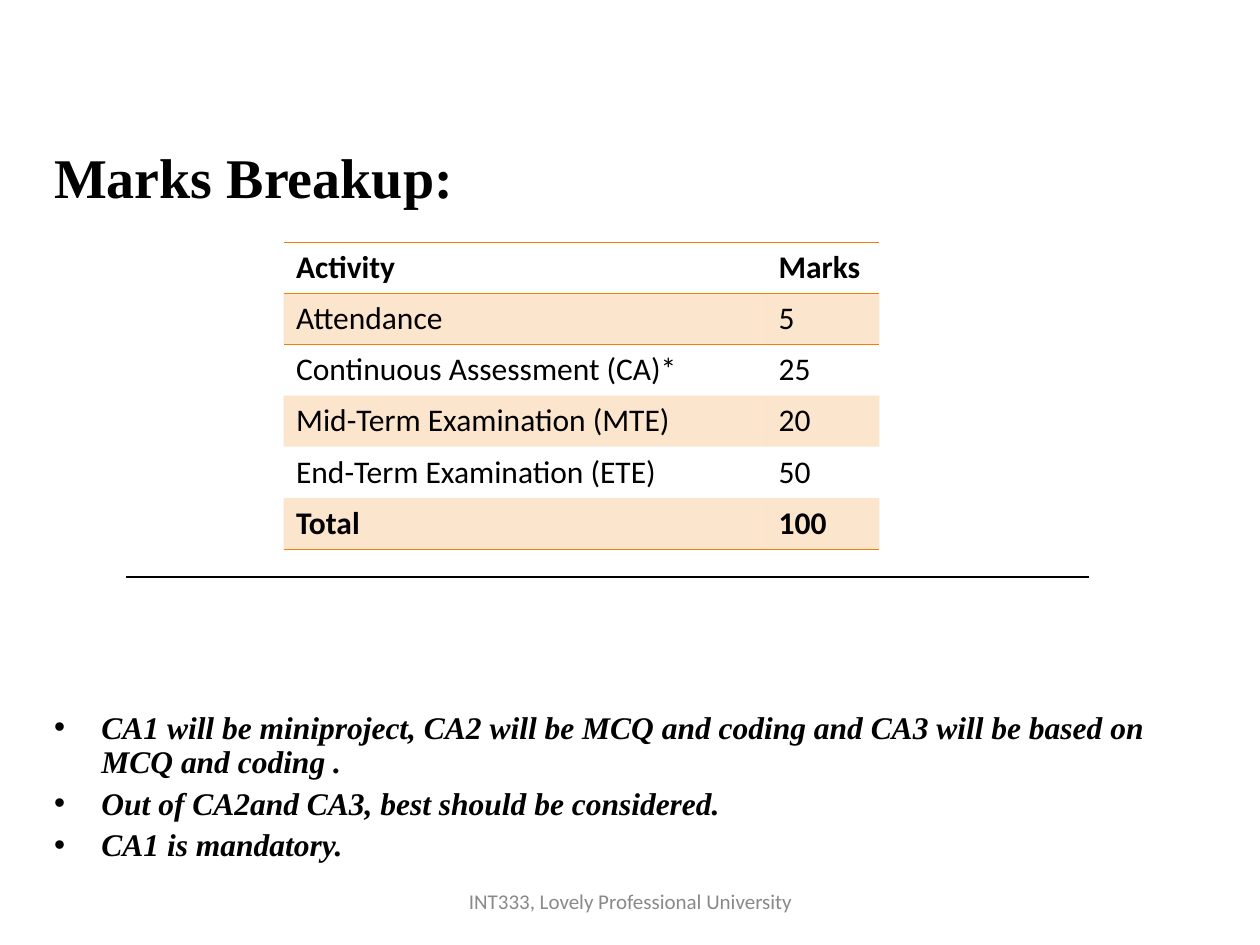
from lxml import etree
from pptx import Presentation
from pptx import util as u
from pptx.dml.color import RGBColor
from pptx.enum import shapes, text
from pptx.oxml.ns import qn

SERIF, SANS = "Times New Roman", "Calibri"
BLACK, ORANGE, GREY = "000000", "F07F09", "898989"
PLAIN_STYLE = "{2D5ABB26-0587-4C30-8999-92F81FD0307C}"
MARKS = [
    ("Activity", "Marks"),
    ("Attendance", "5"),
    ("Continuous Assessment (CA)*", "25"),
    ("Mid-Term Examination (MTE)", "20"),
    ("End-Term Examination (ETE)", "50"),
    ("Total", "100"),
]
NOTES = [
    "CA1 will be miniproject, CA2 will be MCQ and coding and CA3 will be based on MCQ and coding .",
    "Out of CA2and CA3, best should be considered.",
    "CA1 is mandatory.",
]


def rgb(value):
    return RGBColor.from_string(value)


def inches(box):
    return [u.Inches(v) for v in box]


def place(sp, box):
    sp.left, sp.top, sp.width, sp.height = inches(box)


def style(p, name, size, color=BLACK, bold=False, italic=False):
    f = p.font
    f.name, f.size, f.bold, f.italic = name, u.Pt(size), bold, italic
    f.color.rgb = rgb(color)


def frame(sp, anchor):
    tf = sp.text_frame
    tf.word_wrap = True
    tf.auto_size = text.MSO_AUTO_SIZE.NONE
    tf.vertical_anchor = anchor
    return tf


def add_title(s, box):
    sp = s.shapes.title
    place(sp, box)
    tf = frame(sp, text.MSO_ANCHOR.TOP)
    p = tf.paragraphs[0]
    p.text = "Marks Breakup:"
    p.alignment = text.PP_ALIGN.LEFT
    style(p, SERIF, 32, bold=True)


def add_notes(s, box):
    sp = s.placeholders[1]
    place(sp, box)
    tf = frame(sp, text.MSO_ANCHOR.TOP)
    tf.text = "\n".join(NOTES)
    for i, p in enumerate(tf.paragraphs):
        p.line_spacing = 0.9
        p.space_before = u.Pt(4.5 if i else 0)
        style(p, SERIF, 18, bold=True, italic=True)


def add_border(cell, side):
    ln = etree.SubElement(cell._tc.get_or_add_tcPr(), qn(f"a:ln{side}"), w=str(u.Pt(0.45)))
    fill = etree.SubElement(ln, qn("a:solidFill"))
    etree.SubElement(fill, qn("a:srgbClr"), val=ORANGE)


def tint(cell):
    cell.fill.solid()
    cell.fill.fore_color.rgb = rgb(ORANGE)
    color = cell._tc.tcPr.find(qn("a:solidFill")).find(qn("a:srgbClr"))
    etree.SubElement(color, qn("a:alpha"), val="20000")


def add_marks_table(s, box):
    last = len(MARKS) - 1
    table = s.shapes.add_table(len(MARKS), 2, *inches(box)).table
    table._tbl.tblPr.find(qn("a:tableStyleId")).text = PLAIN_STYLE
    for column, width in zip(table.columns, (3.83, 0.9)):
        column.width = u.Inches(width)
    for i, values in enumerate(MARKS):
        for cell, value in zip(table.rows[i].cells, values):
            cell.text = value
            style(cell.text_frame.paragraphs[0], SANS, 18, bold=i in (0, last))
            if i in (0, 1):
                add_border(cell, "T")
            if i in (0, last):
                add_border(cell, "B")
            if i % 2:
                tint(cell)


def add_rule(s, left, right, y):
    line = s.shapes.add_connector(shapes.MSO_CONNECTOR.STRAIGHT, *inches((left, y, right, y)))
    line.line.color.rgb = rgb(BLACK)
    line.line.width = u.Pt(0.75)
    etree.SubElement(line._element.spPr, qn("a:effectLst"))


def add_footer(s, box):
    tf = frame(s.shapes.add_textbox(*inches(box)), text.MSO_ANCHOR.MIDDLE)
    p = tf.paragraphs[0]
    p.text = "INT333, Lovely Professional University"
    p.alignment = text.PP_ALIGN.CENTER
    style(p, SANS, 12, GREY)


def main():
    prs = Presentation()
    prs.slide_width, prs.slide_height = u.Inches(10), u.Inches(7.5)
    s = prs.slides.add_slide(prs.slide_layouts[1])
    add_title(s, (0.33, 1.08, 9, 0.65))
    add_notes(s, (0.33, 5.6, 9, 1.3))
    add_marks_table(s, (2.25, 1.92, 4.73, 2.44))
    add_rule(s, 1, 8.64, 4.58)
    add_footer(s, (3.42, 6.95, 3.17, 0.4))
    prs.save("out.pptx")


if __name__ == "__main__":
    main()
